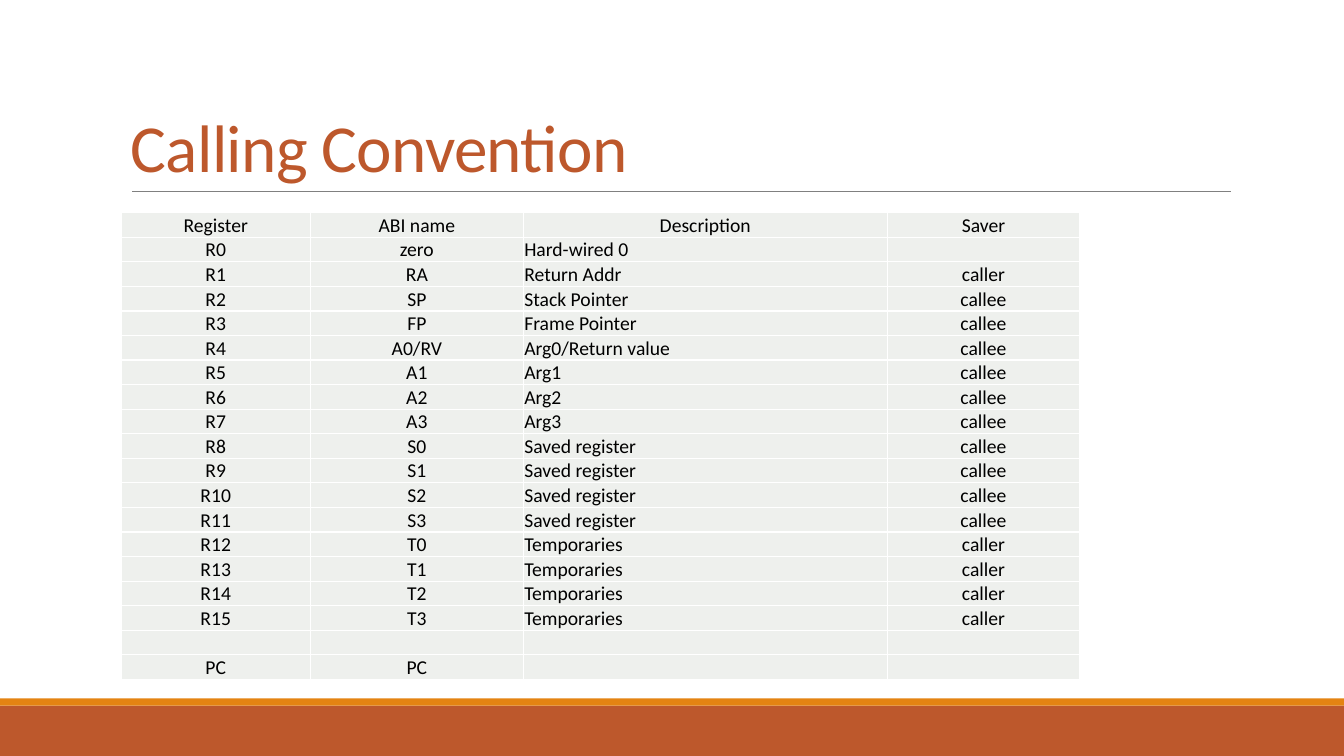
from lxml import etree
from pptx import Presentation
from pptx.dml.color import RGBColor
from pptx.enum.shapes import MSO_CONNECTOR, MSO_SHAPE
from pptx.enum.text import MSO_ANCHOR, PP_ALIGN
from pptx.oxml.ns import qn
from pptx.util import Inches, Pt

RECTANGLE = MSO_SHAPE.RECTANGLE
STRAIGHT = MSO_CONNECTOR.STRAIGHT
MIDDLE, BOTTOM = MSO_ANCHOR.MIDDLE, MSO_ANCHOR.BOTTOM
LEFT, CENTER = PP_ALIGN.LEFT, PP_ALIGN.CENTER

TITLE = "Calling Convention"
REGISTERS = [
    ("Register", "ABI name", "Description", "Saver"),
    ("R0", "zero", "Hard-wired 0", ""),
    ("R1", "RA", "Return Addr", "caller"),
    ("R2", "SP", "Stack Pointer", "callee"),
    ("R3", "FP", "Frame Pointer", "callee"),
    ("R4", "A0/RV", "Arg0/Return value", "callee"),
    ("R5", "A1", "Arg1", "callee"),
    ("R6", "A2", "Arg2", "callee"),
    ("R7", "A3", "Arg3", "callee"),
    ("R8", "S0", "Saved register", "callee"),
    ("R9", "S1", "Saved register", "callee"),
    ("R10", "S2", "Saved register", "callee"),
    ("R11", "S3", "Saved register", "callee"),
    ("R12", "T0", "Temporaries", "caller"),
    ("R13", "T1", "Temporaries", "caller"),
    ("R14", "T2", "Temporaries", "caller"),
    ("R15", "T3", "Temporaries", "caller"),
    ("", "", "", ""),
    ("PC", "PC", "", ""),
]
COLUMN_WIDTHS = [1.88, 2.11, 3.61, 1.91]
DESCRIPTION_COLUMN = REGISTERS[0].index("Description")
ROW_HEIGHT = 0.24

THEME = {
    "font": "Calibri",
    "title_size": 48,
    "cell_size": 14,
    "title": "BD582C",
    "band": "BD582C",
    "stripe": "E48312",
    "rule": "808080",
    "cell": "EEF0ED",
    "border": "FFFFFF",
    "text": "000000",
}
SLIDE_WIDTH, SLIDE_HEIGHT = 13.33, 7.5
FOOTER_BANDS = [("band", 7, 0.5), ("stripe", 6.93, 0.07)]
CELL_FORMAT = {
    "margin_left": Inches(0.01),
    "margin_right": Inches(0.01),
    "margin_top": Inches(0.01),
    "margin_bottom": 0,
    "vertical_anchor": MIDDLE,
}


def color(role):
    return RGBColor.from_string(THEME[role])


def apply_format(target, values):
    for attribute, value in values.items():
        setattr(target, attribute, value)


def write(paragraph, text, size, role):
    run = paragraph.add_run()
    run.text = text
    apply_format(run.font, {"name": THEME["font"], "size": Pt(size)})
    run.font.color.rgb = color(role)
    return run


def add_borders(cell):
    properties = cell._tc.get_or_add_tcPr()
    for side in ("a:lnL", "a:lnR", "a:lnT", "a:lnB"):
        border = etree.SubElement(properties, qn(side), w=str(Pt(1)))
        fill = etree.SubElement(border, qn("a:solidFill"))
        etree.SubElement(fill, qn("a:srgbClr"), val=THEME["border"])


def add_frame(slide):
    for role, top, height in FOOTER_BANDS:
        band = slide.shapes.add_shape(
            RECTANGLE, 0, Inches(top), Inches(SLIDE_WIDTH), Inches(height))
        band.shadow.inherit = False
        band.fill.solid()
        band.fill.fore_color.rgb = color(role)
        band.line.fill.background()
    rule = slide.shapes.add_connector(
        STRAIGHT, Inches(1.31), Inches(1.9), Inches(12.21), Inches(1.9))
    rule.line.color.rgb = color("rule")
    rule.line.width = Pt(0.5)
    etree.SubElement(rule._element.spPr, qn("a:effectLst"))


def add_title(slide):
    title = slide.shapes.add_textbox(
        Inches(1.2), Inches(0.31), Inches(11), Inches(1.59)).text_frame
    apply_format(title, {"word_wrap": True, "vertical_anchor": BOTTOM})
    heading = title.paragraphs[0]
    heading.line_spacing = 0.85
    run = write(heading, TITLE, THEME["title_size"], "title")
    run.font._element.set("spc", "-50")


def add_registers(slide):
    table = slide.shapes.add_table(
        len(REGISTERS), len(COLUMN_WIDTHS), Inches(1.2), Inches(2.11),
        Inches(sum(COLUMN_WIDTHS)), Inches(ROW_HEIGHT * len(REGISTERS))).table
    apply_format(table, {"first_row": False, "horz_banding": False})
    for column, width in zip(table.columns, COLUMN_WIDTHS):
        column.width = Inches(width)
    for row_index, entries in enumerate(REGISTERS):
        table.rows[row_index].height = Inches(ROW_HEIGHT)
        for column_index, entry in enumerate(entries):
            cell = table.cell(row_index, column_index)
            apply_format(cell, CELL_FORMAT)
            add_borders(cell)
            cell.fill.solid()
            cell.fill.fore_color.rgb = color("cell")
            paragraph = cell.text_frame.paragraphs[0]
            is_description = row_index > 0 and column_index == DESCRIPTION_COLUMN
            paragraph.alignment = LEFT if is_description else CENTER
            if entry:
                write(paragraph, entry, THEME["cell_size"], "text")
            else:
                etree.SubElement(paragraph._p, qn("a:endParaRPr"),
                                 sz=str(THEME["cell_size"] * 100))


def main():
    presentation = Presentation()
    presentation.slide_width = Inches(SLIDE_WIDTH)
    presentation.slide_height = Inches(SLIDE_HEIGHT)
    slide = presentation.slides.add_slide(presentation.slide_layouts[6])
    add_frame(slide)
    add_title(slide)
    add_registers(slide)
    presentation.save("out.pptx")


if __name__ == "__main__":
    main()
